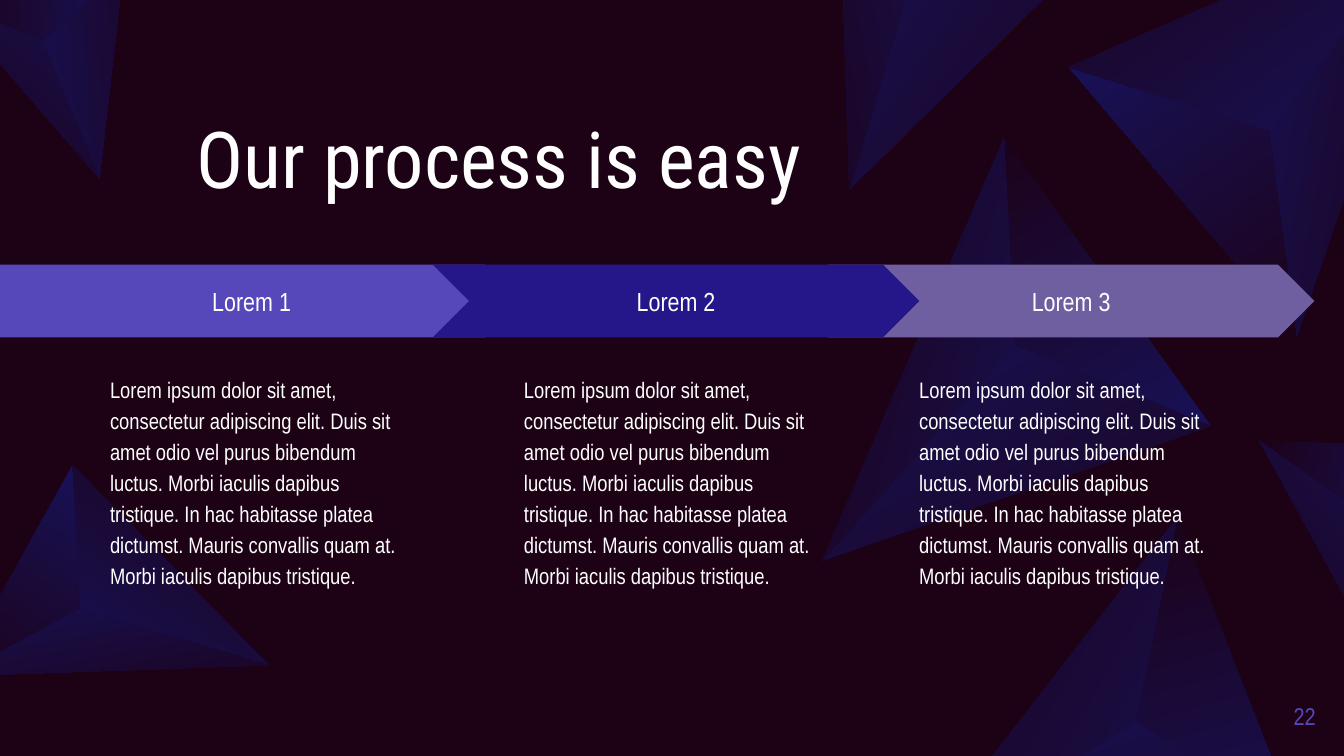
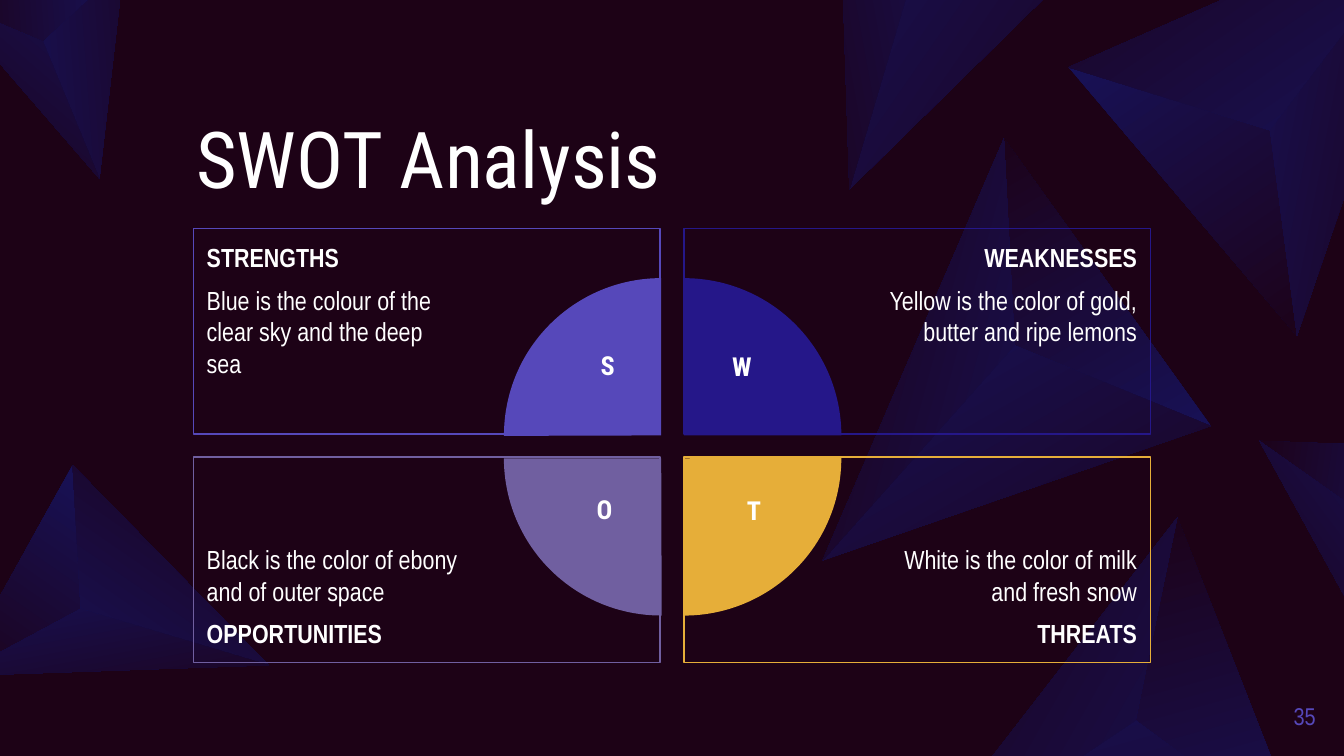
import math
from dataclasses import dataclass

import pptx
import pptx.dml.color
import pptx.enum.shapes
import pptx.enum.text
import pptx.util
from pptx.util import Inches

COLOURS = {
    "night": "1D0216",
    "glow": "17125A",
    "white": "FFFFFF",
    "violet": "5648BA",
    "indigo": "251789",
    "mauve": "705FA0",
    "gold": "E6AE39",
}
TITLE_FONT = "Roboto Condensed"
BODY_FONT = "Arial Narrow"
SHAPES = pptx.enum.shapes.MSO_SHAPE
ALIGN = pptx.enum.text.PP_ALIGN
ANCHOR = pptx.enum.text.MSO_ANCHOR
TITLE_ONLY = 5

Area = tuple[float, float, float, float]


@dataclass(frozen=True)
class Crystal:
    rotation: float
    base: complex
    left: complex
    right: complex
    peak: complex
    has_left_facet: bool = True


@dataclass(frozen=True)
class Step:
    label: str
    preset: int
    colour: str
    left: float
    width: float
    text_left: float


@dataclass(frozen=True)
class Quadrant:
    letter: str
    heading: str
    detail: str
    colour: str
    column: int
    row: int
    rotation: int
    letter_area: Area


CRYSTALS = (
    Crystal(100.5, 9.65 + 2.5j, 7.95 + 0.5j, 10.75 - 0.73j, 9.45 + 0.97j),
    Crystal(169.6, -0.33 + 5.03j, 0.54 + 3.46j, 2 + 4.95j, 0.6 + 4.53j),
    Crystal(285.1, 7.47 + 1.03j, 9.01 + 3.17j, 6.12 + 4.17j, 7.55 + 2.57j),
    Crystal(299.6, 8.76 + 3.85j, 9.72 + 6.3j, 6.67 + 6.55j, 8.45 + 5.36j),
    Crystal(233.2, 9.37 + 3.28j, 10.73 + 3.33j, 10.22 + 4.83j, 10.02 + 3.74j),
    Crystal(259.7, 6.21 - 2j, 8.51 - 0.74j, 6.32 + 1.41j, 6.93 - 0.65j, False),
    Crystal(220.8, -0.41 + 0j, 0.92 - 0.24j, 0.74 + 1.33j, 0.32 + 0.31j),
)

STEPS = (
    Step("Lorem 3", SHAPES.CHEVRON, "mauve", 6.16, 3.62, 6.74),
    Step("Lorem 1", SHAPES.PENTAGON, "violet", 0, 3.88, 0.72),
    Step("Lorem 2", SHAPES.CHEVRON, "indigo", 3.22, 3.62, 3.8),
)
STEP_TEXT = (
    "Lorem ipsum dolor sit amet, consectetur adipiscing elit. Duis sit amet odio "
    "vel purus bibendum luctus. Morbi iaculis dapibus tristique. In hac habitasse "
    "platea dictumst. Mauris convallis quam at. Morbi iaculis dapibus tristique."
)

QUADRANTS = (
    Quadrant("S", "STRENGTHS", "Blue is the colour of the clear sky and the deep sea",
             "violet", 0, 0, 0, (4.37, 2.55, 0.22, 0.45)),
    Quadrant("W", "WEAKNESSES", "Yellow is the color of gold, butter and ripe lemons",
             "indigo", 1, 0, 90, (5.35, 2.56, 0.34, 0.44)),
    Quadrant("O", "OPPORTUNITIES", "Black is the color of ebony and of outer space",
             "mauve", 0, 1, 270, (4.34, 3.62, 0.22, 0.45)),
    Quadrant("T", "THREATS", "White is the color of milk and fresh snow",
             "gold", 1, 1, 180, (5.46, 3.63, 0.23, 0.44)),
)


def rgb(name: str) -> pptx.dml.color.RGBColor:
    return pptx.dml.color.RGBColor.from_string(COLOURS[name])


def inches(area: Area) -> list[int]:
    return [Inches(value) for value in area]


def set_frame(box, margins: Area, anchor=ANCHOR.TOP) -> None:
    frame = box.text_frame
    frame.word_wrap = True
    frame.auto_size = pptx.enum.text.MSO_AUTO_SIZE.NONE
    frame.vertical_anchor = anchor
    (frame.margin_left, frame.margin_top,
     frame.margin_right, frame.margin_bottom) = inches(margins)


def set_paragraph(para, text: str, size: float, font: str = BODY_FONT,
                  colour: str = "white", align=ALIGN.LEFT, bold: bool = False,
                  spacing: float = 1.0) -> None:
    para.text = text
    para.alignment = align
    para.line_spacing = spacing
    para.font.size = pptx.util.Pt(size)
    para.font.name = font
    para.font.bold = bold
    para.font.color.rgb = rgb(colour)


def add_preset(page, preset: int, area: Area, fill: str | None = None,
               line: str | None = None):
    shape = page.shapes.add_shape(preset, *inches(area))
    shape.shadow.inherit = False
    if fill:
        shape.fill.solid()
        shape.fill.fore_color.rgb = rgb(fill)
    else:
        shape.fill.background()
    if line:
        shape.line.color.rgb = rgb(line)
        shape.line.width = pptx.util.Pt(0.75)
    else:
        shape.line.fill.background()
    return shape


def add_facet(page, corners: tuple[complex, ...], rotation: float, angle: int) -> None:
    turn = complex(math.cos(math.radians(rotation)), math.sin(math.radians(rotation)))
    flat = [corner / turn for corner in corners]
    across = [point.real for point in flat]
    down = [point.imag for point in flat]
    middle = complex(min(across) + max(across), min(down) + max(down)) / 2
    shift = middle * turn - middle
    points = [(Inches((point + shift).real), Inches((point + shift).imag))
              for point in flat]
    builder = page.shapes.build_freeform(*points[0])
    builder.add_line_segments(points[1:], close=True)
    facet = builder.convert_to_shape()
    facet.rotation = rotation
    facet.shadow.inherit = False
    facet.line.fill.background()
    facet.fill.gradient()
    facet.fill.gradient_angle = angle
    for stop, colour in zip(facet.fill.gradient_stops, ("glow", "night")):
        stop.color.rgb = rgb(colour)


def add_crystal(page, crystal: Crystal) -> None:
    base, left, right, peak = crystal.base, crystal.left, crystal.right, crystal.peak
    if crystal.has_left_facet:
        add_facet(page, (base, left, peak), crystal.rotation, 45)
    add_facet(page, (left, right, peak), crystal.rotation, 225)
    add_facet(page, (base, peak, right), crystal.rotation, 90)


def add_page(deck, title: str, number: int):
    page = deck.slides.add_slide(deck.slide_layouts[TITLE_ONLY])
    for crystal in CRYSTALS:
        add_crystal(page, crystal)

    heading = page.shapes.title
    heading.left, heading.top, heading.width, heading.height = inches(
        (1.46, 0.88, 7.08, 0.65))
    set_frame(heading, (0, 0, 0, 0), ANCHOR.BOTTOM)
    set_paragraph(heading.text_frame.paragraphs[0], title, 42, TITLE_FONT, spacing=0.9)

    box = page.shapes.add_textbox(*inches((9.35, 5.11, 0.44, 0.43)))
    set_frame(box, (0, 0, 0, 0), ANCHOR.MIDDLE)
    set_paragraph(box.text_frame.paragraphs[0], str(number), 13, colour="violet",
                  align=ALIGN.RIGHT)
    return page


def add_step(page, step: Step) -> None:
    margins = (0.1, 0.1, 0.1, 0.1)
    arrow = add_preset(page, step.preset, (step.left, 1.97, step.width, 0.54), step.colour)
    arrow.adjustments[0] = 0.5
    set_frame(arrow, margins, ANCHOR.MIDDLE)
    set_paragraph(arrow.text_frame.paragraphs[0], step.label, 14, align=ALIGN.CENTER)

    box = page.shapes.add_textbox(*inches((step.text_left, 2.67, 2.45, 2.11)))
    set_frame(box, margins)
    set_paragraph(box.text_frame.paragraphs[0], STEP_TEXT, 12, spacing=1.15)


def add_panel(page, quadrant: Quadrant) -> None:
    area = (1.44 + 3.65 * quadrant.column, 1.7 + 1.7 * quadrant.row, 3.47, 1.53)
    panel = add_preset(page, SHAPES.RECTANGLE, area, line=quadrant.colour)
    on_right, on_bottom = quadrant.column == 1, quadrant.row == 1
    margins = (1.5, 0.1, 0.1, 0.1) if on_right else (0.1, 0.1, 1.5, 0.1)
    set_frame(panel, margins, ANCHOR.BOTTOM if on_bottom else ANCHOR.TOP)
    lines = [(quadrant.heading, True), (quadrant.detail, False)]
    if on_bottom:
        lines.reverse()
    frame = panel.text_frame
    for para, (text, bold) in zip((frame.paragraphs[0], frame.add_paragraph()), lines):
        set_paragraph(para, text, 14, bold=bold,
                      align=ALIGN.RIGHT if on_right else ALIGN.LEFT)
    para.space_before = para.space_after = pptx.util.Pt(6)


def add_pie(page, quadrant: Quadrant) -> None:
    area = (3.75 + 0.17 * quadrant.column, 2.07 + 0.17 * quadrant.row, 2.34, 2.34)
    pie = add_preset(page, SHAPES.PIE, area, quadrant.colour)
    pie.adjustments[0] = 107.89
    pie.adjustments[1] = 162
    pie.rotation = quadrant.rotation


def add_letter(page, quadrant: Quadrant) -> None:
    box = page.shapes.add_textbox(*inches(quadrant.letter_area))
    set_frame(box, (0.1, 0.05, 0.1, 0.05))
    set_paragraph(box.text_frame.paragraphs[0], quadrant.letter, 14, TITLE_FONT,
                  align=ALIGN.CENTER, bold=True)


def main() -> None:
    deck = pptx.Presentation()
    deck.slide_width, deck.slide_height = Inches(10), Inches(5.625)
    background = deck.slide_master.background.fill
    background.solid()
    background.fore_color.rgb = rgb("night")

    process = add_page(deck, "Our process is easy", 22)
    for step in STEPS:
        add_step(process, step)

    swot = add_page(deck, "SWOT Analysis", 35)
    for draw in (add_panel, add_pie, add_letter):
        for quadrant in QUADRANTS:
            draw(swot, quadrant)

    deck.save("out.pptx")


if __name__ == "__main__":
    main()
